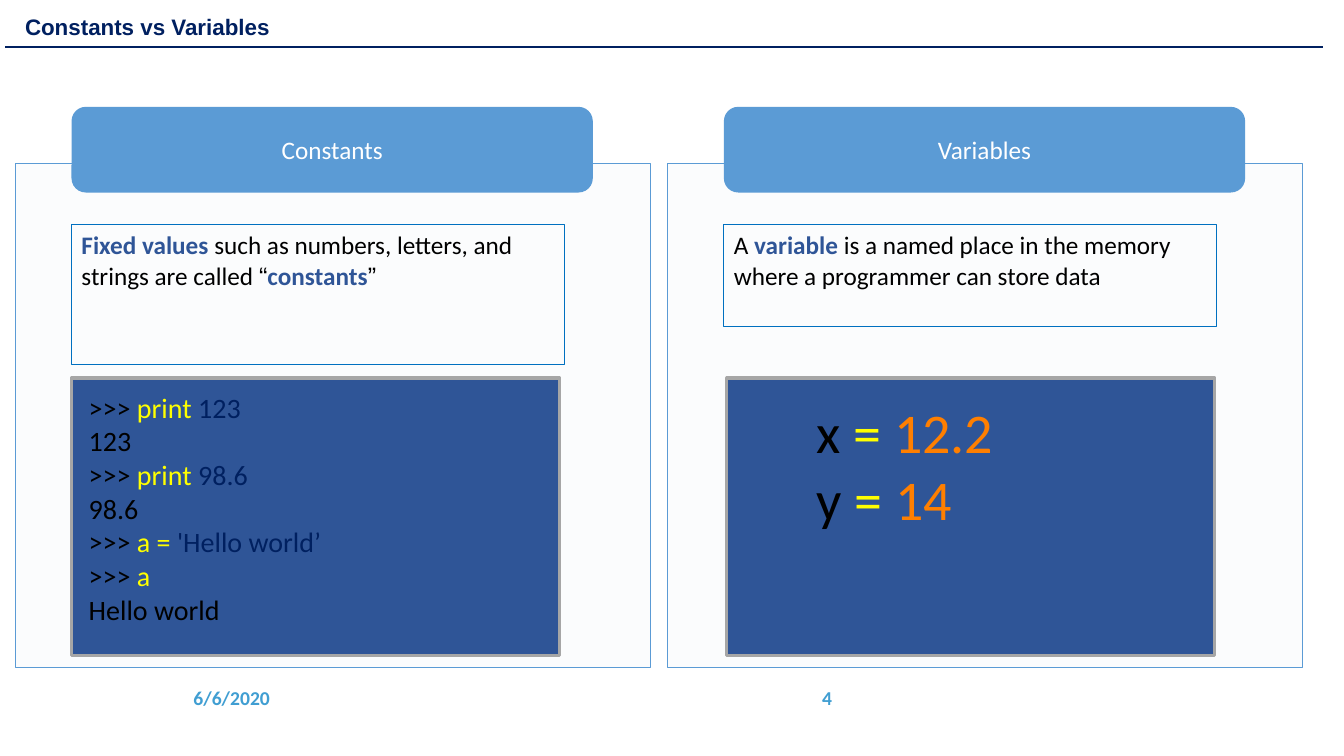
"""Build the Constants vs Variables slide."""
from dataclasses import dataclass
from typing import NamedTuple, Optional

from lxml.etree import SubElement
from pptx import Presentation
from pptx.dml.color import RGBColor
from pptx.enum.shapes import MSO_CONNECTOR, MSO_SHAPE
from pptx.enum.text import MSO_ANCHOR, PP_ALIGN
from pptx.oxml.ns import qn
from pptx.util import Inches, Pt

NAVY, BLUE, SKY, PALE = "002060", "2F5597", "5B9BD5", "EAEFF7"
BLACK, WHITE, YELLOW, ORANGE = "000000", "FFFFFF", "FFFF00", "FF7F00"
EDGE, GREY, FOOTER = "0070C0", "A6A6A6", "409ED2"


class Span(NamedTuple):
    text: str
    color: str = BLACK
    bold: bool = False
    font: str = "Calibri"


Lines = list[list[Span]]


@dataclass
class Box:
    left: float
    top: float
    width: float
    height: float
    fill: Optional[str] = None
    line: Optional[str] = None
    weight: float = 0.75
    preset: MSO_SHAPE = MSO_SHAPE.RECTANGLE
    alpha: Optional[int] = None


@dataclass
class Label:
    left: float
    top: float
    width: float
    height: float
    lines: Lines
    size: float
    anchor: MSO_ANCHOR = MSO_ANCHOR.MIDDLE
    align: PP_ALIGN = PP_ALIGN.LEFT
    inset: bool = False
    wrap: bool = True


@dataclass
class Column:
    left: float
    heading: str
    definition: list[Span]
    definition_height: float
    code_left: float
    code: Label


def rgb(color: str) -> RGBColor:
    return RGBColor.from_string(color)


def write(tf, lines: Lines, size: float, anchor: MSO_ANCHOR,
          align: PP_ALIGN = PP_ALIGN.LEFT) -> None:
    tf.vertical_anchor = anchor
    for i, spans in enumerate(lines):
        p = tf.add_paragraph() if i else tf.paragraphs[0]
        p.alignment = align
        for span in spans:
            r = p.add_run()
            r.text = span.text
            r.font.size = Pt(size)
            r.font.name = span.font
            r.font.bold = span.bold
            r.font.color.rgb = rgb(span.color)


def add_box(s, box: Box):
    sp = s.shapes.add_shape(box.preset, Inches(box.left), Inches(box.top),
                            Inches(box.width), Inches(box.height))
    sp.shadow.inherit = False
    sp.text_frame.word_wrap = True
    if box.fill:
        sp.fill.solid()
        sp.fill.fore_color.rgb = rgb(box.fill)
    else:
        sp.fill.background()
    if box.alpha is not None:
        color = sp._element.spPr.find(qn("a:solidFill")).find(qn("a:srgbClr"))
        SubElement(color, qn("a:alpha")).set("val", str(box.alpha * 1000))
    if box.line:
        sp.line.color.rgb = rgb(box.line)
        sp.line.width = Pt(box.weight)
    else:
        sp.line.fill.background()
    return sp


def add_label(s, label: Label) -> None:
    sp = s.shapes.add_textbox(Inches(label.left), Inches(label.top),
                              Inches(label.width), Inches(label.height))
    tf = sp.text_frame
    tf.word_wrap = label.wrap
    if not label.inset:
        tf.margin_left = tf.margin_top = tf.margin_right = tf.margin_bottom = 0
    write(tf, label.lines, label.size, label.anchor, label.align)


def add_rule(s, left: float, right: float, top: float) -> None:
    line = s.shapes.add_connector(MSO_CONNECTOR.STRAIGHT, Inches(left), Inches(top),
                                  Inches(right), Inches(top))
    line.line.color.rgb = rgb(NAVY)
    line.line.width = Pt(1.5)
    SubElement(line._element.spPr, qn("a:effectLst"))


def add_column(s, column: Column) -> None:
    inner = column.left + 0.56
    add_box(s, Box(column.left, 1.62, 6.3, 5, PALE, SKY, 0.25, alpha=18))
    heading = add_box(s, Box(inner, 1.06, 5.17, 0.85, SKY,
                             preset=MSO_SHAPE.ROUNDED_RECTANGLE))
    write(heading.text_frame, [[Span(column.heading, WHITE)]], 18,
          MSO_ANCHOR.MIDDLE, PP_ALIGN.CENTER)
    definition = add_box(s, Box(inner, 2.23, 4.89, column.definition_height, line=EDGE))
    write(definition.text_frame, [column.definition], 18, MSO_ANCHOR.TOP)
    add_box(s, Box(column.code_left, 3.75, 4.84, 2.75, BLUE, GREY, 2.25))
    add_label(s, column.code)


PROMPT = Span(">>> ")
SESSION = [
    [PROMPT, Span("print ", YELLOW), Span("123", NAVY)],
    [Span("123")],
    [PROMPT, Span("print ", YELLOW), Span("98.6", NAVY)],
    [Span("98.6")],
    [Span(">>>"), Span(" a = ", YELLOW), Span("'Hello world’", NAVY)],
    [PROMPT, Span("a", YELLOW)],
    [Span("Hello world")],
]
ASSIGNMENTS = [[Span(name), Span(" = ", YELLOW), Span(value, ORANGE)]
               for name, value in (("x", "12.2"), ("y", "14"))]
COLUMNS = [
    Column(0.15, "Constants",
           [Span("Fixed values ", BLUE, True),
            Span("such as numbers, letters, and strings are called "),
            Span("“", font="Arial"), Span("constants", BLUE, True),
            Span("”", font="Arial")],
           1.39, 0.71, Label(0.88, 3.86, 3.78, 2.36, SESSION, 20)),
    Column(6.62, "Variables",
           [Span("A "), Span("variable", BLUE, True),
            Span(" is a named place in the memory where a programmer can store data")],
           1.01, 7.21, Label(8.1, 3.94, 1.77, 2.69, ASSIGNMENTS, 40,
                             MSO_ANCHOR.TOP, wrap=False)),
]
FOOTERS = [
    Label(1.82, 6.72, 1.38, 0.4, [[Span("6/6/2020", FOOTER, True)]], 14, inset=True),
    Label(5.32, 6.72, 3.03, 0.4, [[Span("4", FOOTER, True)]], 14,
          align=PP_ALIGN.RIGHT, inset=True),
]


def main() -> None:
    prs = Presentation()
    prs.slide_width, prs.slide_height = Inches(13.33), Inches(7.5)
    s = prs.slides.add_slide(prs.slide_layouts[6])
    for footer in FOOTERS:
        add_label(s, footer)
    title = add_box(s, Box(0.15, 0.1, 9.04, 0.35, WHITE))
    write(title.text_frame, [[Span("Constants vs Variables", NAVY, True, "Arial")]],
          16, MSO_ANCHOR.BOTTOM)
    title.text_frame.paragraphs[0].line_spacing = 0.9
    add_rule(s, 0.05, 13.12, 0.47)
    for column in COLUMNS:
        add_column(s, column)
    prs.save("out.pptx")


if __name__ == "__main__":
    main()
